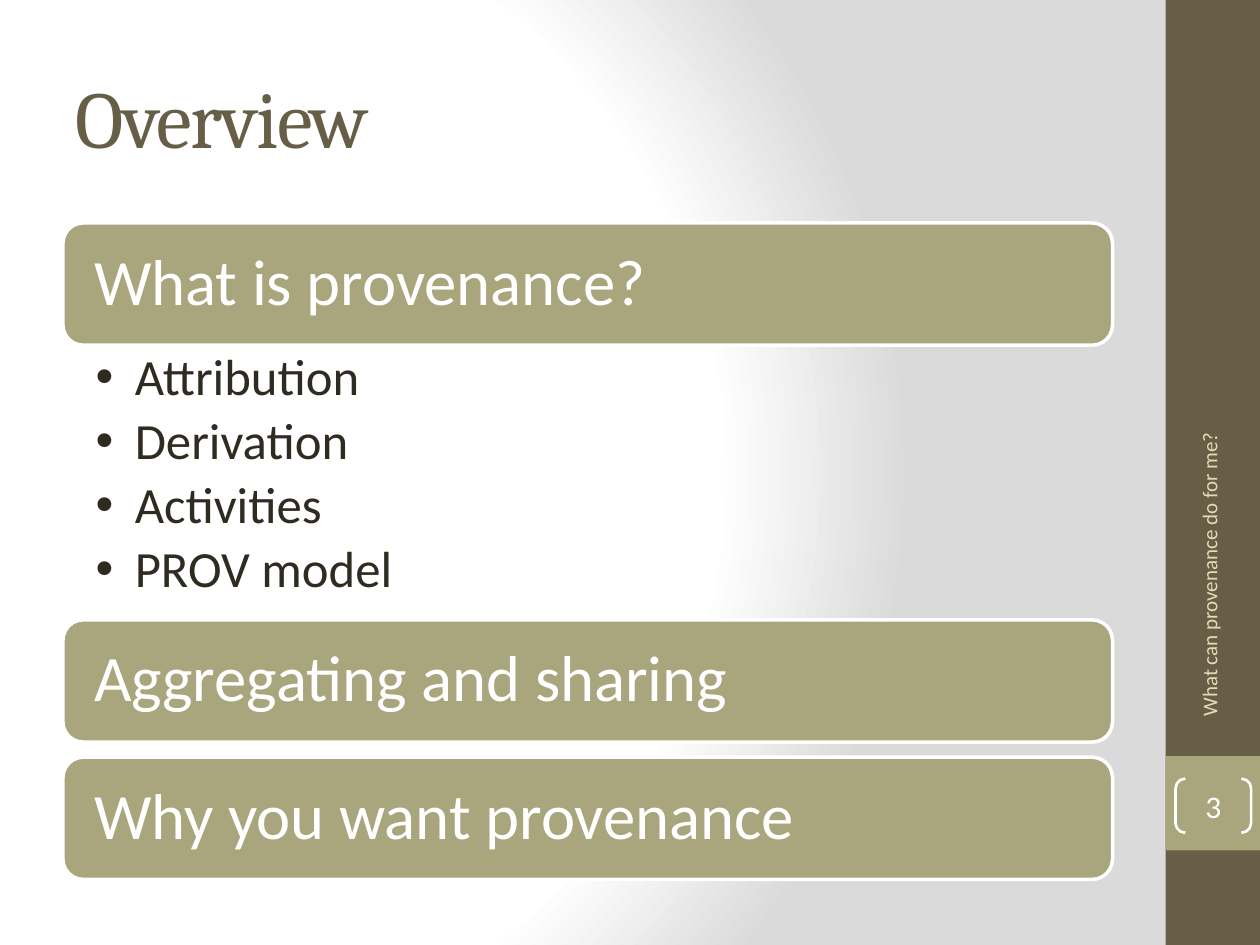
import dataclasses

import pptx
import pptx.dml.color
import pptx.enum.shapes
import pptx.enum.text
import pptx.oxml
import pptx.oxml.ns
import pptx.util

Inches = pptx.util.Inches
Pt = pptx.util.Pt
SHAPE = pptx.enum.shapes.MSO_SHAPE
ALIGN = pptx.enum.text.PP_ALIGN
ANCHOR = pptx.enum.text.MSO_ANCHOR


@dataclasses.dataclass(frozen=True)
class Theme:
    head_font: str = "Cambria"
    body_font: str = "Calibri"
    dark: str = "675E47"
    accent: str = "A9A57C"
    white: str = "FFFFFF"
    grey: str = "DADADA"
    ink: str = "2F2B20"
    pale: str = "DFDCB7"
    title: float = 46
    bar: float = 37
    bullet: float = 29
    number: float = 18
    footer: float = 12


T = Theme()


def rgb(color):
    return pptx.dml.color.RGBColor.from_string(color)


def add_run(p, text, size, color, font=T.body_font):
    r = p.add_run()
    r.text = text
    r.font.size, r.font.name = Pt(size), font
    r.font.color.rgb = rgb(color)
    return r


def set_frame(tf, anchor, x=0.1, y=0.05):
    tf.word_wrap = True
    tf.auto_size = pptx.enum.text.MSO_AUTO_SIZE.NONE
    tf.vertical_anchor = anchor
    tf.margin_left = tf.margin_right = Inches(x)
    tf.margin_top = tf.margin_bottom = Inches(y)


def place(sp, box):
    sp.left, sp.top, sp.width, sp.height = map(Inches, box)


def add_shape(s, kind, box, fill=None, line=None, width=1):
    sp = s.shapes.add_shape(kind, *map(Inches, box))
    sp.shadow.inherit = False
    if fill:
        sp.fill.solid()
        sp.fill.fore_color.rgb = rgb(fill)
    else:
        sp.fill.background()
    if line:
        sp.line.color.rgb = rgb(line)
        sp.line.width = Pt(width)
    else:
        sp.line.fill.background()
    return sp


def set_background(s):
    """Circular gradient, white at the left and grey at the right."""
    stops = "".join(
        f'<a:gs pos="{pos * 1000}"><a:srgbClr val="{color}"/></a:gs>'
        for pos, color in ((0, T.white), (75, T.white), (100, T.grey)))
    bg = pptx.oxml.parse_xml(
        f'<p:bg {pptx.oxml.ns.nsdecls("p", "a")}><p:bgPr>'
        f'<a:gradFill rotWithShape="1"><a:gsLst>{stops}</a:gsLst>'
        '<a:path path="circle"><a:fillToRect l="20000" t="50000" '
        'r="100000" b="50000"/></a:path></a:gradFill>'
        '<a:effectLst/></p:bgPr></p:bg>')
    s.element.cSld.insert(0, bg)


def add_title(s, box, text):
    sp = s.shapes.title
    place(sp, box)
    set_frame(sp.text_frame, ANCHOR.MIDDLE)
    p = sp.text_frame.paragraphs[0]
    p.alignment = ALIGN.LEFT
    r = add_run(p, text, T.title, T.dark, T.head_font)
    r.font._element.set("spc", "-100")


def add_bar(s, box, text):
    sp = add_shape(s, SHAPE.ROUNDED_RECTANGLE, box, T.accent, T.white, 2)
    set_frame(sp.text_frame, ANCHOR.MIDDLE, 0.2, 0.2)
    p = sp.text_frame.paragraphs[0]
    p.alignment = ALIGN.LEFT
    p.line_spacing = 0.9
    add_run(p, text, T.bar, T.white)


def add_bullets(s, box, items):
    sp = s.placeholders[1]
    place(sp, box)
    tf = sp.text_frame
    set_frame(tf, ANCHOR.TOP, 0.26)
    for i, item in enumerate(items):
        p = tf.add_paragraph() if i else tf.paragraphs[0]
        p.line_spacing = 0.9
        p.space_before, p.space_after = Pt(0), Pt(5.3)
        pPr = p._p.get_or_add_pPr()
        pPr.set("marL", str(Inches(0.31)))
        pPr.set("indent", str(Inches(-0.31)))
        pPr.append(pptx.oxml.parse_xml(
            f'<a:buChar {pptx.oxml.ns.nsdecls("a")} char="•"/>'))
        add_run(p, item, T.bullet, T.ink)


def add_topics(s, box, topics):
    """Stack a bar per topic, followed by its bullets or by a gap."""
    x, y, w, h = box
    bar_h, gap = 0.97, 0.12
    bullets_h = h - len(topics) * bar_h - (len(topics) - 2) * gap
    for heading, items in topics:
        add_bar(s, (x, y, w, bar_h), heading)
        y += bar_h
        if items:
            add_bullets(s, (x, y, w, bullets_h), items)
        y += bullets_h if items else gap


def add_side_band(s, box, footer, number):
    x, y, w, h = box
    add_shape(s, SHAPE.RECTANGLE, box, T.dark)
    add_shape(s, SHAPE.RECTANGLE, (x, y + 6, w, w), T.accent)

    # Footer, reading upwards
    fw, fh = 2.59, 0.4
    sp = s.shapes.add_textbox(*map(
        Inches, (x + 0.345 - fw / 2, y + 4.63 - fh / 2, fw, fh)))
    sp.rotation = 270
    set_frame(sp.text_frame, ANCHOR.MIDDLE)
    p = sp.text_frame.paragraphs[0]
    p.alignment = ALIGN.RIGHT
    add_run(p, footer, T.footer, T.pale)

    # Slide number in brackets
    sp = add_shape(s, SHAPE.DOUBLE_BRACKET, (x + 0.08, y + 6.18, 0.6, 0.43),
                   line=T.white, width=1.5)
    sp.adjustments[0] = 0.18
    set_frame(sp.text_frame, ANCHOR.MIDDLE, 0, 0)
    p = sp.text_frame.paragraphs[0]
    p.alignment = ALIGN.CENTER
    add_run(p, number, T.number, T.white)


def main():
    prs = pptx.Presentation()
    prs.slide_width, prs.slide_height = Inches(10), Inches(7.5)
    s = prs.slides.add_slide(prs.slide_layouts[1])
    set_background(s)
    add_side_band(s, (9.25, 0, 0.75, 7.5), "What can provenance do for me?", "3")
    add_title(s, (0.5, 0.3, 8.33, 1.25), "Overview")
    add_topics(s, (0.5, 1.77, 8.33, 5.21), [
        ("What is provenance?",
         ["Attribution", "Derivation", "Activities", "PROV model"]),
        ("Aggregating and sharing", []),
        ("Why you want provenance", []),
    ])
    prs.save("out.pptx")


if __name__ == "__main__":
    main()
